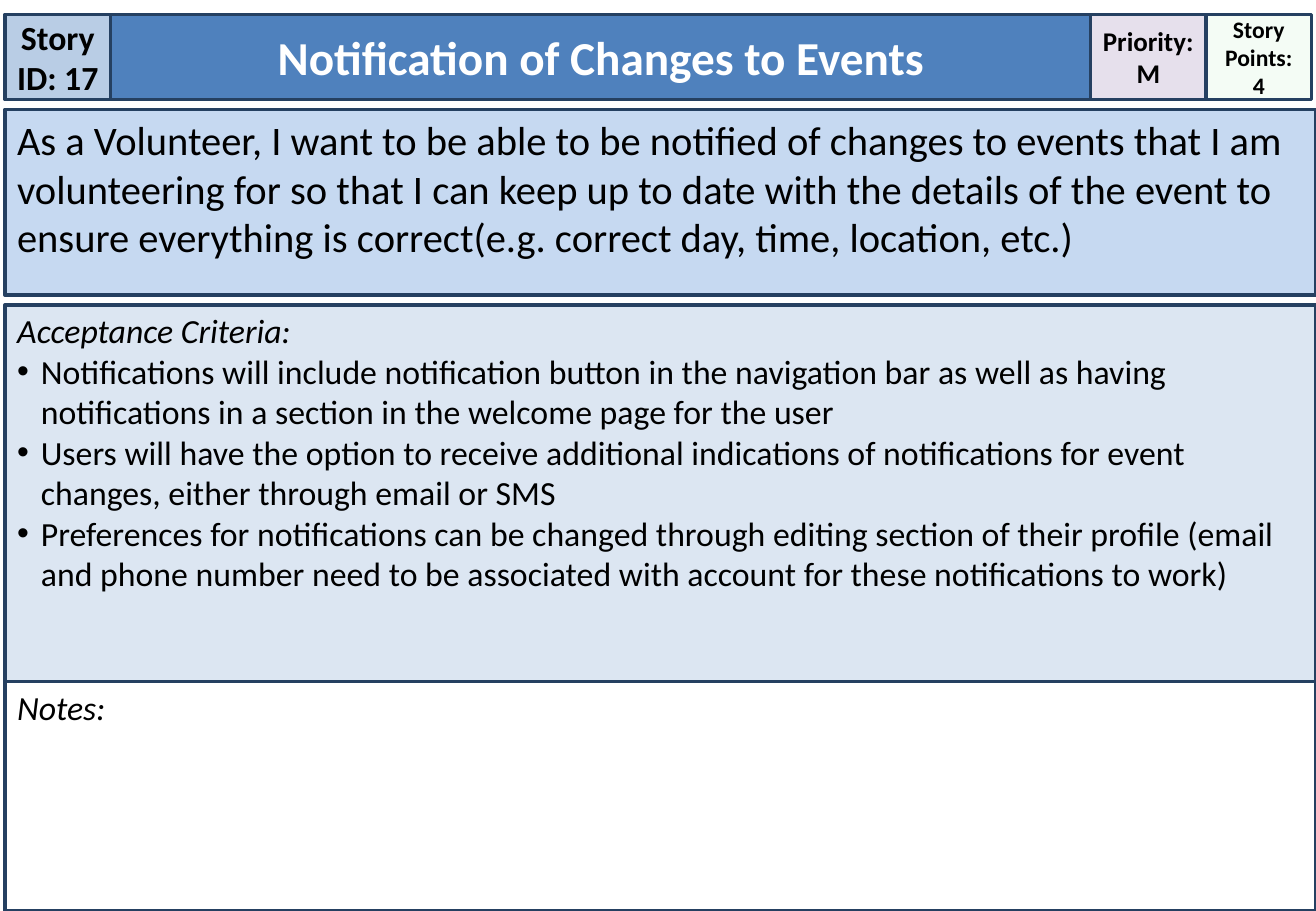
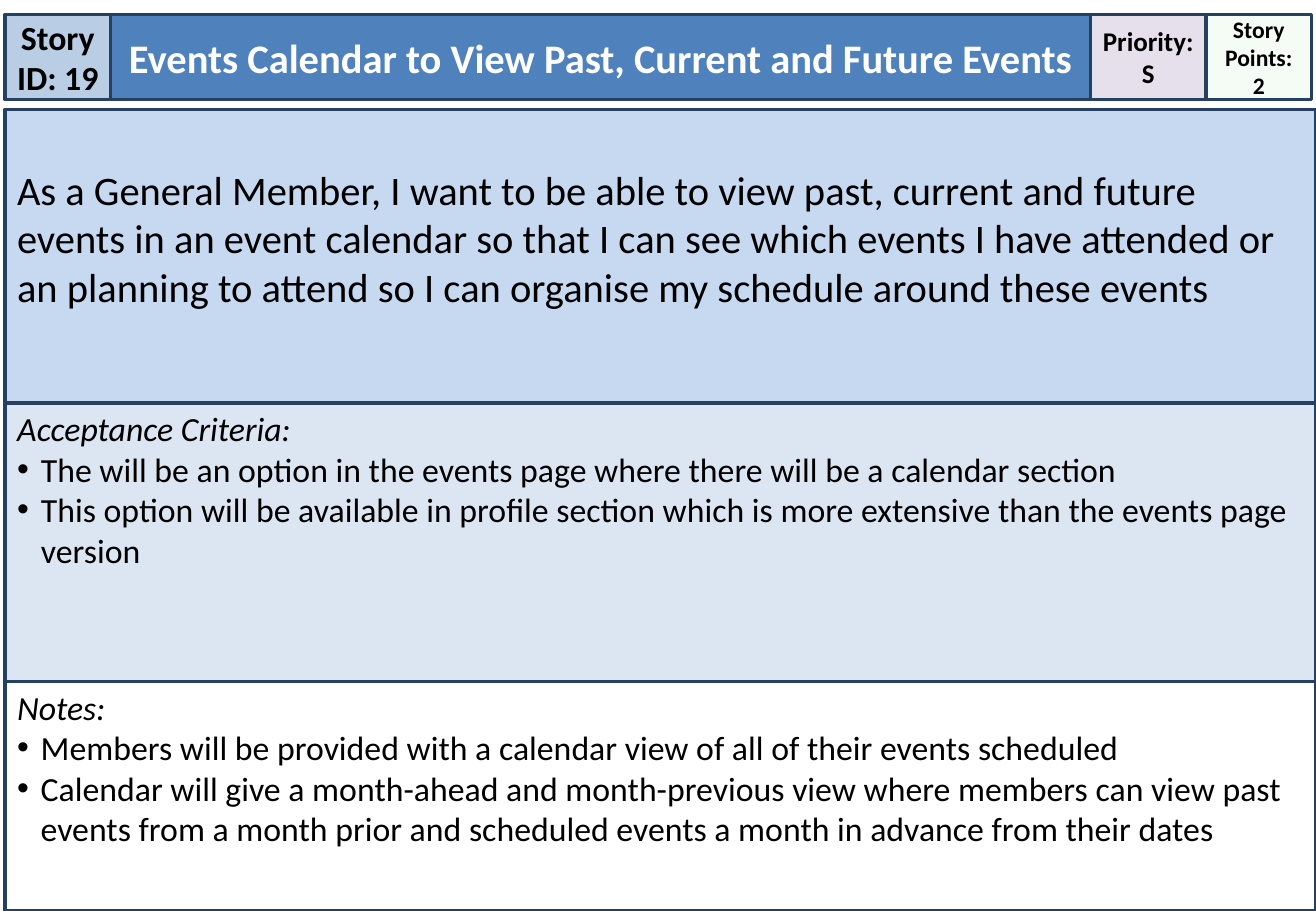
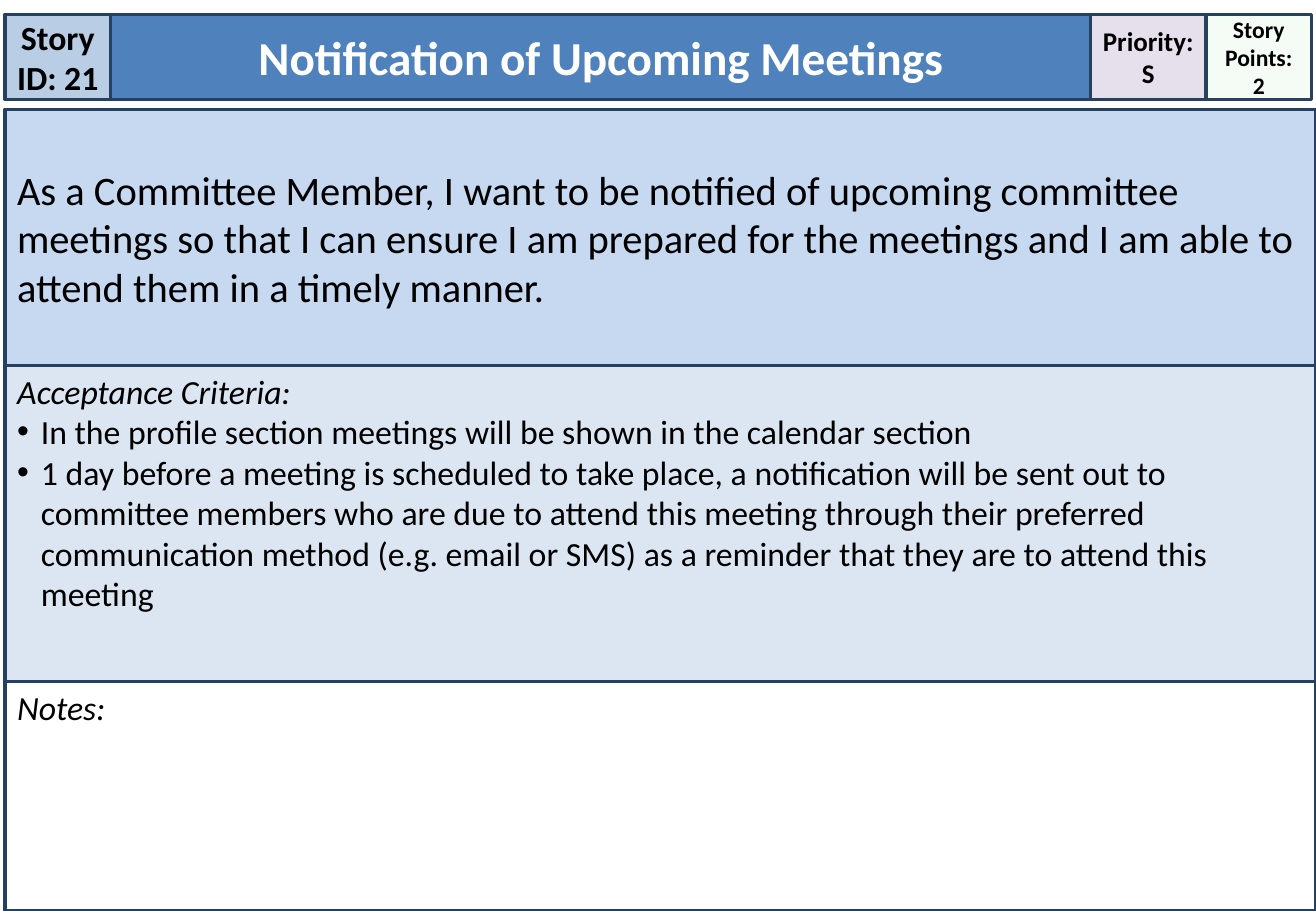
from lxml.etree import SubElement
from pptx import Presentation
from pptx.dml.color import RGBColor
from pptx.enum.shapes import MSO_SHAPE
from pptx.enum.text import MSO_ANCHOR, MSO_AUTO_SIZE, PP_ALIGN
from pptx.oxml.ns import qn
from pptx.util import Pt

STORIES = [
    {
        "id": 17, "title": "Notification of Changes to Events", "title_size": 28,
        "priority": "M", "points": 4,
        "story": "As a Volunteer, I want to be able to be notified of changes to events that I am "
                 "volunteering for so that I can keep up to date with the details of the event to "
                 "ensure everything is correct(e.g. correct day, time, location, etc.)",
        "story_inset": 3.6, "story_bottom": 175, "criteria_top": 180.7,
        "criteria": [
            "Notifications will include notification button in the navigation bar as well as "
            "having notifications in a section in the welcome page for the user",
            "Users will have the option to receive additional indications of notifications for "
            "event changes, either through email or SMS",
            "Preferences for notifications can be changed through editing section of their "
            "profile (email and phone number need to be associated with account for these "
            "notifications to work)",
        ],
        "notes": [],
    },
    {
        "id": 19, "title": "Events Calendar to View Past, Current and Future Events",
        "title_size": 24, "priority": "S", "points": 2,
        "story": "As a General Member, I want to be able to view past, current and future events "
                 "in an event calendar so that I can see which events I have attended or an "
                 "planning to attend so I can organise my schedule around these events",
        "story_inset": 32.9, "story_bottom": 239, "criteria_top": 239,
        "criteria": [
            "The will be an option in the events page where there will be a calendar section",
            "This option will be available in profile section which is more extensive than the "
            "events page version",
        ],
        "notes": [
            "Members will be provided with a calendar view of all of their events scheduled",
            "Calendar will give a month-ahead and month-previous view where members can view "
            "past events from a month prior and scheduled events a month in advance from their "
            "dates",
        ],
    },
    {
        "id": 21, "title": "Notification of Upcoming Meetings", "title_size": 28,
        "priority": "S", "points": 2,
        "story": "As a Committee Member, I want to be notified of upcoming committee meetings so "
                 "that I can ensure I am prepared for the meetings and I am able to attend them "
                 "in a timely manner.",
        "story_inset": 32.9, "story_bottom": 216.7, "criteria_top": 216.7,
        "criteria": [
            "In the profile section meetings will be shown in the calendar section",
            "1 day before a meeting is scheduled to take place, a notification will be sent out "
            "to committee members who are due to attend this meeting through their preferred "
            "communication method (e.g. email or SMS) as a reminder that they are to attend this "
            "meeting",
        ],
        "notes": [],
    },
]

COLORS = {
    "border": "254061", "id": "B9CDE5", "title": "4F81BD", "priority": "E6E0EC",
    "points": "CCF0CD", "story": "C6D9F1", "criteria": "DCE6F2", "notes": "FFFFFF",
    "text": "000000", "title_text": "FFFFFF",
}
FONT = "Calibri"
WIDTH, HEIGHT = 780, 540
LEFT = 3
HEADER_TOP, HEADER_BOTTOM = 8.5, 59
ID_RIGHT, TITLE_RIGHT, PRIORITY_RIGHT, POINTS_RIGHT = 65.5, 646.5, 714.75, 777.5
STORY_TOP, NOTES_TOP = 64.8, 404
BULLET_INDENT = 14
CELL_INSETS = (0, 3.6, 0, 3.6)
LIST_INSETS = (7.2, 2.9, 7.2, 3.6)


def rgb(key):
    return RGBColor.from_string(COLORS[key])


def style_panel(panel, box, color, opacity=None):
    """Place a panel by its left, top, right and bottom edges, and give it fill and border."""
    left, top, right, bottom = box
    panel.left, panel.top = Pt(left), Pt(top)
    panel.width, panel.height = Pt(right - left), Pt(bottom - top)
    panel.shadow.inherit = False
    panel.fill.solid()
    panel.fill.fore_color.rgb = rgb(color)
    if opacity is not None:
        fill_color = panel.fill._xPr.find(qn("a:solidFill"))[0]
        SubElement(fill_color, qn("a:alpha"), val=str(opacity * 1000))
    panel.line.color.rgb = rgb("border")
    panel.line.width = Pt(2)


def write(panel, lines, size, bold=False, color="text", align=PP_ALIGN.LEFT,
          anchor=MSO_ANCHOR.TOP, insets=(7.2, 3.6, 7.2, 3.6), wrap=True, bulleted=False):
    """Fill a panel with lines; if bulleted, the first is an italic heading."""
    frame = panel.text_frame
    frame.auto_size = MSO_AUTO_SIZE.NONE
    frame.word_wrap = wrap
    frame.vertical_anchor = anchor
    (frame.margin_left, frame.margin_top,
     frame.margin_right, frame.margin_bottom) = map(Pt, insets)
    for index, line in enumerate(lines):
        paragraph = frame.paragraphs[0] if index == 0 else frame.add_paragraph()
        paragraph.alignment = align
        paragraph.space_before = Pt(0)
        properties = paragraph._p.get_or_add_pPr()
        is_bullet = bulleted and index > 0
        indent = Pt(BULLET_INDENT) if is_bullet else 0
        properties.set("marL", str(indent))
        properties.set("indent", str(-indent))
        if is_bullet:
            SubElement(properties, qn("a:buFont"), typeface="Arial")
            SubElement(properties, qn("a:buChar"), char="•")
        else:
            SubElement(properties, qn("a:buNone"))
        run = paragraph.add_run()
        run.text = line
        run.font.name = FONT
        run.font.size = Pt(size)
        run.font.bold = bold
        run.font.italic = bulleted and index == 0
        run.font.color.rgb = rgb(color)


def add_panel(slide, box, color, lines, size, opacity=None, **text_format):
    panel = slide.shapes.add_shape(MSO_SHAPE.RECTANGLE, 0, 0, 0, 0)
    style_panel(panel, box, color, opacity)
    write(panel, lines, size, **text_format)


def add_story_card(deck, card):
    slide = deck.slides.add_slide(deck.slide_layouts[1])
    centred = {"bold": True, "align": PP_ALIGN.CENTER, "anchor": MSO_ANCHOR.MIDDLE}
    cell = {**centred, "insets": CELL_INSETS}

    title, criteria = slide.placeholders
    style_panel(title, (ID_RIGHT, HEADER_TOP, TITLE_RIGHT, HEADER_BOTTOM), "title")
    write(title, [card["title"]], card["title_size"], color="title_text", **centred)
    style_panel(criteria, (LEFT, card["criteria_top"], WIDTH, NOTES_TOP), "criteria")
    write(criteria, ["Acceptance Criteria:", *card["criteria"]], 20,
          insets=LIST_INSETS, bulleted=True)

    add_panel(slide, (LEFT, HEADER_TOP, ID_RIGHT, HEADER_BOTTOM), "id",
              [f"Story ID: {card['id']}"], 20, **cell)
    add_panel(slide, (PRIORITY_RIGHT, HEADER_TOP, POINTS_RIGHT, HEADER_BOTTOM), "points",
              ["Story Points:", str(card["points"])], 14, opacity=20, **cell)
    add_panel(slide, (TITLE_RIGHT, HEADER_TOP, PRIORITY_RIGHT, HEADER_BOTTOM), "priority",
              ["Priority:", card["priority"]], 16, wrap=False, **cell)
    add_panel(slide, (LEFT, STORY_TOP, WIDTH, card["story_bottom"]), "story",
              [card["story"]], 24, insets=(7.2, card["story_inset"], 7.2, 3.6))
    add_panel(slide, (LEFT, NOTES_TOP, WIDTH, HEIGHT), "notes",
              ["Notes:", *card["notes"]], 20, insets=LIST_INSETS, bulleted=True)


def main():
    deck = Presentation()
    deck.slide_width, deck.slide_height = Pt(WIDTH), Pt(HEIGHT)
    for card in STORIES:
        add_story_card(deck, card)
    deck.save("out.pptx")


if __name__ == "__main__":
    main()
